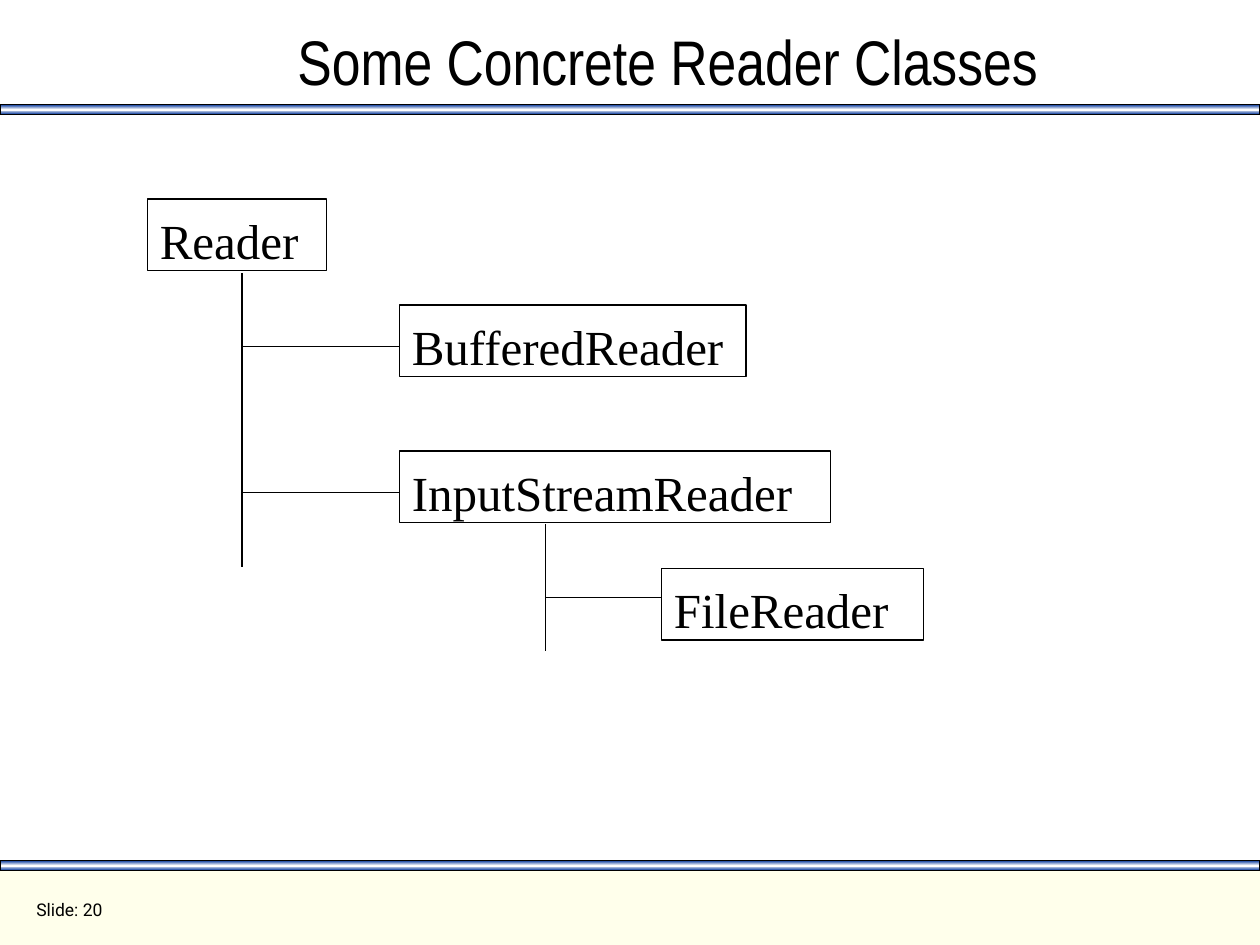
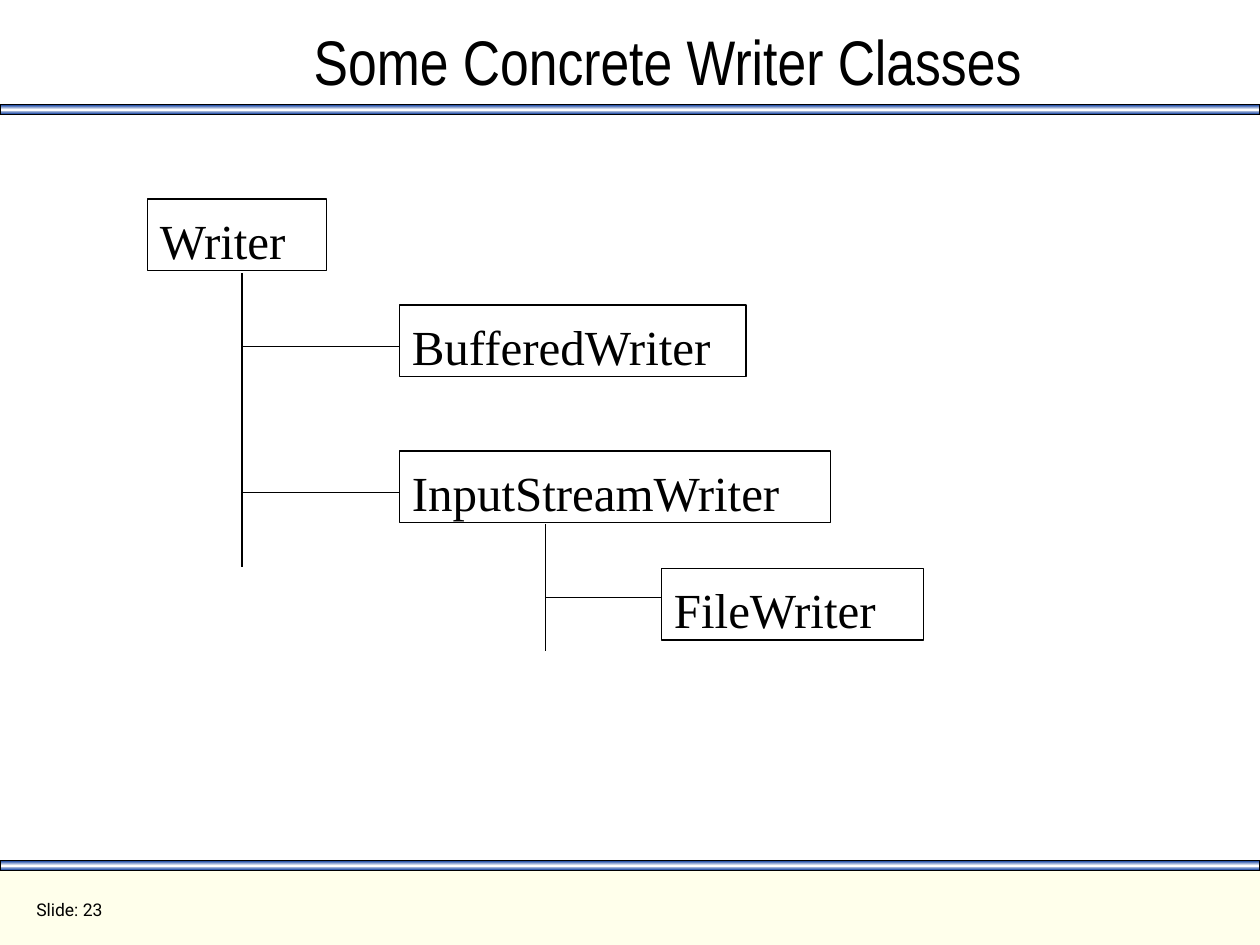
"""Build two slides showing the concrete Reader and Writer class hierarchies."""
from copy import deepcopy

from lxml import etree
from pptx import Presentation
from pptx import util as u
from pptx.dml.color import RGBColor
from pptx.enum import shapes, text
from pptx.oxml.ns import qn

SLIDES = [("Reader", 20), ("Writer", 23)]
CLASSES = [
    ("", 1.17, 1.58, 1.42),
    ("Buffered", 3.17, 2.42, 2.75),
    ("InputStream", 3.17, 3.58, 3.42),
    ("File", 5.25, 4.51, 2.08),
]
TRUNKS = [
    {"x": 1.92, "top": 2.17, "bottom": 4.5, "branch_end": 3.17, "branches": [2.75, 3.91]},
    {"x": 4.33, "top": 4.16, "bottom": 5.17, "branch_end": 5.25, "branches": [4.74]},
]

WIDTH, HEIGHT = 10, 7.5
BOX_HEIGHT = 0.57
BAND_HEIGHT = 0.08
BAND_TOPS = [0.83, 6.83]
FOOTER_TOP = BAND_TOPS[-1]

BLACK = RGBColor(0x00, 0x00, 0x00)
WHITE = RGBColor(0xFF, 0xFF, 0xFF)
BLUE = RGBColor(0x00, 0x33, 0x99)
CREAM = RGBColor(0xFF, 0xFF, 0xEB)

TITLE_FONT = {"name": "Arial Narrow", "size": u.Pt(36)}
CLASS_FONT = {"name": "Times New Roman", "size": u.Pt(28)}
NUMBER_FONT = {"name": "Roboto", "size": u.Pt(10)}
TITLE_FRAME = {"vertical_anchor": text.MSO_ANCHOR.BOTTOM, "word_wrap": True,
               "auto_size": text.MSO_AUTO_SIZE.NONE}
CLASS_FRAME = {"vertical_anchor": text.MSO_ANCHOR.TOP, "word_wrap": True,
               "margin_top": u.Inches(0.09), "margin_bottom": u.Inches(0.02)}
NUMBER_FRAME = {"vertical_anchor": text.MSO_ANCHOR.MIDDLE, "word_wrap": True}


def inches(*lengths):
    return [u.Inches(length) for length in lengths]


def apply(target, formats):
    for name, value in formats.items():
        setattr(target, name, value)


def write(holder, words, frame_format, font_format, align=text.PP_ALIGN.LEFT):
    frame = holder.text_frame
    frame.text = words
    apply(frame, frame_format)
    paragraph = frame.paragraphs[0]
    paragraph.alignment = align
    apply(paragraph.font, font_format)
    paragraph.font.color.rgb = BLACK


def outline(part):
    part.line.color.rgb = BLACK
    part.line.width = u.Pt(0.75)


def add_rectangle(slide, *place):
    rectangle = slide.shapes.add_shape(shapes.MSO_SHAPE.RECTANGLE, *inches(*place))
    rectangle.shadow.inherit = False
    return rectangle


def add_band(slide, top):
    band = add_rectangle(slide, 0, top, WIDTH, BAND_HEIGHT)
    outline(band)
    band.fill.gradient()
    band.fill.gradient_angle = 90
    stops = band.fill.gradient_stops
    for stop, color, position in zip(stops, (BLUE, WHITE), (0, 0.5)):
        stop.color.rgb = color
        stop.position = position
    stop_list = band.fill._fill._gradFill.find(qn("a:gsLst"))
    last = deepcopy(stop_list[0])
    last.set("pos", "100000")
    stop_list.append(last)


def add_frame(slide, title, number):
    footer = add_rectangle(slide, 0, FOOTER_TOP, WIDTH, HEIGHT - FOOTER_TOP)
    footer.fill.solid()
    footer.fill.fore_color.rgb = CREAM
    footer.line.fill.background()
    for top in BAND_TOPS:
        add_band(slide, top)
    number_box = slide.shapes.add_textbox(*inches(0.19, 7.07, 2.75, 0.29))
    write(number_box, f"Slide: {number}", NUMBER_FRAME, NUMBER_FONT)
    heading = slide.shapes.title
    apply(heading, dict(zip(("left", "top", "width", "height"), inches(0.83, 0.08, 8.94, 0.75))))
    write(heading, title, TITLE_FRAME, TITLE_FONT, text.PP_ALIGN.CENTER)


def add_line(slide, *ends):
    line = slide.shapes.add_connector(shapes.MSO_CONNECTOR.STRAIGHT, *inches(*ends))
    outline(line)
    etree.SubElement(line._element.spPr, qn("a:effectLst"))


def add_hierarchy(slide, family):
    for trunk in TRUNKS:
        x = trunk["x"]
        add_line(slide, x, trunk["top"], x, trunk["bottom"])
        for y in trunk["branches"]:
            add_line(slide, x, y, trunk["branch_end"], y)
    for prefix, left, top, width in CLASSES:
        class_box = add_rectangle(slide, left, top, width, BOX_HEIGHT)
        class_box.fill.background()
        outline(class_box)
        write(class_box, prefix + family, CLASS_FRAME, CLASS_FONT)


def main():
    deck = Presentation()
    deck.slide_width, deck.slide_height = inches(WIDTH, HEIGHT)
    for family, number in SLIDES:
        slide = deck.slides.add_slide(deck.slide_layouts[5])
        add_frame(slide, f"Some Concrete {family} Classes", number)
        add_hierarchy(slide, family)
    deck.save("out.pptx")


if __name__ == "__main__":
    main()
